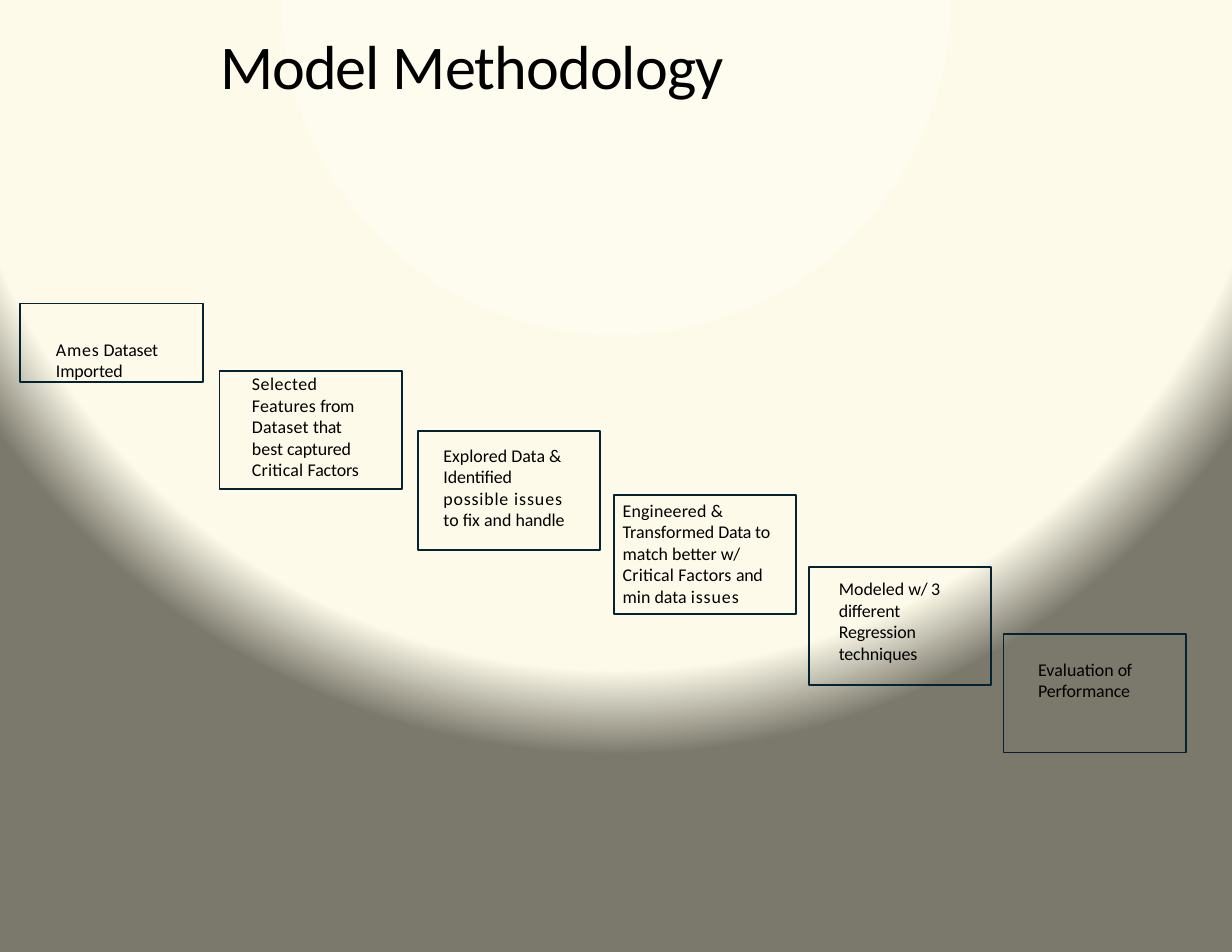
from pptx import Presentation
from pptx.dml.color import RGBColor
from pptx.enum.shapes import MSO_SHAPE as SHAPE
from pptx.enum.text import MSO_ANCHOR as ANCHOR, PP_ALIGN as ALIGN
from pptx.oxml import parse_xml
from pptx.oxml.ns import nsdecls
from pptx.util import Inches, Pt

BLACK = RGBColor(0x00, 0x00, 0x00)
NAVY = RGBColor(0x03, 0x23, 0x33)
CREAM = RGBColor(0xFE, 0xFC, 0xEE)
IVORY = RGBColor(0xFD, 0xFA, 0xEA)
OLIVE = RGBColor(0x7B, 0x79, 0x6B)

BOX_W, BOX_H = 1.63, 1.06

# left, top, height, insets (left, top, right), runs as (text, letter spacing)
STEPS = [
    (0.18, 2.71, 0.7, (0.32, 0.31, 0),
     [("Ames", 0.5), (" Dataset Imported", -0.1)]),
    (1.96, 3.31, BOX_H, (0.29, 0.02, 0.25),
     [("Selected ", 0.3), ("Features ", 0.1), ("from ", -0.2),
      ("Dataset ", 0.1), ("that ", -0.2), ("best ", 0),
      ("captured ", -0.1), ("Critical ", 0.1), ("Factors", -0.1)]),
    (3.73, 3.85, BOX_H, (0.23, 0.12, 0.27),
     [("Explored Data ", 0), ("& ", -0.5), ("Identified ", -0.1),
      ("possible ", 0.5), ("issues ", 0.6), ("to fix and ", 0),
      ("handle", -0.1)]),
    (5.48, 4.42, BOX_H, (0.08, 0.04, 0.21),
     [("Engineered ", 0.1), ("& ", -0.5), ("Transformed ", 0),
      ("Data ", -0.2), ("to match better ", 0), ("w/ ", -0.2),
      ("Critical Factors ", 0.1), ("and ", -0.2), ("min data ", 0),
      ("issues", 0.6)]),
    (7.22, 5.06, BOX_H, (0.27, 0.1, 0.25),
     [("Modeled ", 0), ("w/ ", -0.3), ("3 ", -0.5),
      ("different Regression techniques", -0.1)]),
    (8.96, 5.66, BOX_H, (0.31, 0.22, 0),
     [("Evaluation ", 0), ("of ", -0.3), ("Performance", -0.1)]),
]


class SlideBuilder:
    font = "Calibri"

    def __init__(self, s):
        self.s = s

    def background(self, stops):
        """Circular gradient centred above the slide."""
        gs = "".join(
            f'<a:gs pos="{pos * 1000}"><a:srgbClr val="{color}"/></a:gs>'
            for pos, color in stops)
        bg = parse_xml(
            f'<p:bg {nsdecls("p", "a")}><p:bgPr><a:gradFill rotWithShape="1">'
            f'<a:gsLst>{gs}</a:gsLst><a:path path="circle">'
            '<a:fillToRect l="50000" t="-80000" r="50000" b="180000"/>'
            '</a:path></a:gradFill><a:effectLst/></p:bgPr></p:bg>')
        self.s.element.cSld.insert(0, bg)

    def add_text(self, sp, runs, size, insets):
        tf = sp.text_frame
        tf.word_wrap = True
        tf.vertical_anchor = ANCHOR.TOP
        left, top, right = insets
        tf.margin_left, tf.margin_top = Inches(left), Inches(top)
        tf.margin_right, tf.margin_bottom = Inches(right), 0
        p = tf.paragraphs[0]
        p.alignment = ALIGN.LEFT
        for text, spacing in runs:
            r = p.add_run()
            r.text = text
            r.font.name = self.font
            r.font.size = Pt(size)
            r.font.color.rgb = BLACK
            r._r.get_or_add_rPr().set("spc", str(round(spacing * 100)))

    def title(self, x, y, w, h, runs, insets):
        sp = self.s.shapes.add_textbox(Inches(x), Inches(y), Inches(w), Inches(h))
        self.add_text(sp, runs, 40, insets)

    def box(self, x, y, w, h, runs, insets):
        sp = self.s.shapes.add_shape(
            SHAPE.RECTANGLE, Inches(x), Inches(y), Inches(w), Inches(h))
        sp.shadow.inherit = False
        sp.fill.background()
        sp.line.color.rgb = NAVY
        sp.line.width = Pt(1.2)
        self.add_text(sp, runs, 11.5, insets)


def main():
    prs = Presentation()
    prs.slide_width, prs.slide_height = Inches(11), Inches(8.5)
    b = SlideBuilder(prs.slides.add_slide(prs.slide_layouts[6]))

    # Background and title
    b.background([(0, CREAM), (86, IVORY), (97, OLIVE)])
    b.title(0.17, 0.17, 9.96, 0.74,
            [("Model ", -0.7), ("Methodology", -0.6)], (1.8, 0.07, 0))

    # Descending staircase of steps
    for x, y, h, insets, runs in STEPS:
        b.box(x, y, BOX_W, h, runs, insets)

    prs.save("out.pptx")


if __name__ == "__main__":
    main()
